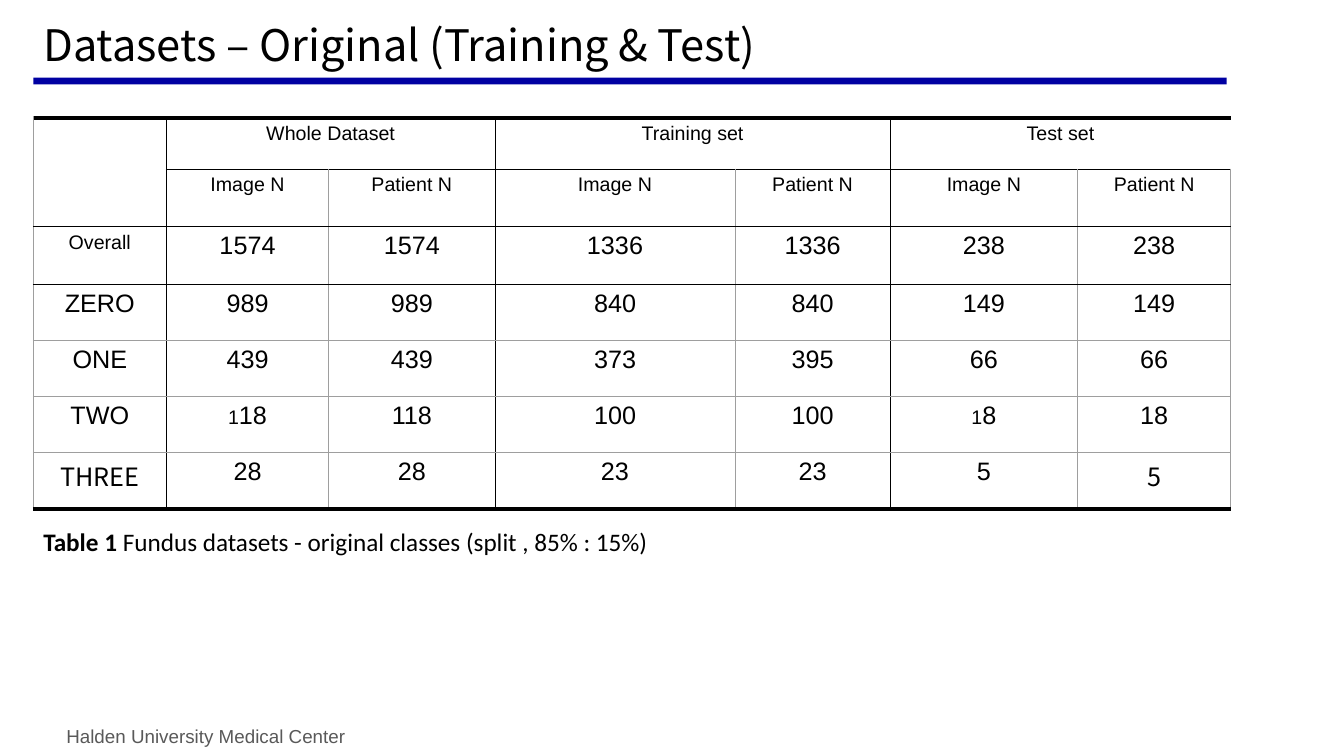
from lxml import etree
from pptx import Presentation
from pptx.dml.color import RGBColor
from pptx.enum.shapes import MSO_SHAPE
from pptx.enum.text import MSO_ANCHOR, MSO_AUTO_SIZE, PP_ALIGN
from pptx.oxml.ns import qn
from pptx.util import Pt

LEFT, CENTER = PP_ALIGN.LEFT, PP_ALIGN.CENTER
TOP, BOTTOM = MSO_ANCHOR.TOP, MSO_ANCHOR.BOTTOM
NO_AUTOFIT = MSO_AUTO_SIZE.NONE
RECTANGLE = MSO_SHAPE.RECTANGLE

# Content
TITLE = "Datasets – Original (Training & Test)"
CAPTION = ("Table 1", " Fundus datasets - original classes (split , 85% : 15%)")
FOOTER = "Halden University Medical Center"
ROWS = [
    ["", "Whole Dataset", "", "Training set", "", "Test set", ""],
    ["", "Image N", "Patient N", "Image N", "Patient N", "Image N", "Patient N"],
    ["Overall", "1574", "1574", "1336", "1336", "238", "238"],
    ["ZERO", "989", "989", "840", "840", "149", "149"],
    ["ONE", "439", "439", "373", "395", "66", "66"],
    ["TWO", "118", "118", "100", "100", "18", "18"],
    ["THREE", "28", "28", "23", "23", "5", "5"],
]

# Style
COLORS = {"text": "000000", "footer": "595959", "bar": "0000A2",
          "rule": "000000", "grid": "9E9E9E"}
BODY_FONT, TITLE_FONT, CAPTION_FONT = "Arial", "Noto Sans CJK KR", "Calibri"
LABEL_SIZE, VALUE_SIZE = 14, 18
SMALL_FIRST_DIGIT = {(5, 1), (5, 5)}
TITLE_FONT_CELLS = {(6, 0), (6, 6)}

# Layout
SLIDE_WIDTH, SLIDE_HEIGHT = 960, 540
MARGIN = 23.8
COLUMN_WIDTHS = [95, 116, 118.8, 171.4, 110.9, 133.9, 109.4]
ROW_HEIGHTS = [36.5, 41.2, 41.2, 40, 40, 40, 40.5]
MERGES = [(0, 0, 1, 0), (0, 1, 0, 2), (0, 3, 0, 4), (0, 5, 0, 6)]

# Lines by edge number, counted from the top and from the left
GRID, RULE = ("grid", 0.75), ("rule", 0.75)
HEADER, HEAVY = ("rule", 0.96), ("rule", 3)
ROW_LINES = [HEAVY, HEADER, RULE, RULE, GRID, GRID, GRID, HEAVY]
COLUMN_LINES = [GRID, RULE, GRID, RULE, GRID, RULE, GRID, GRID]


def color(name):
    return RGBColor.from_string(COLORS[name])


def style(font, name, size, color_name="text"):
    font.name, font.size = name, Pt(size)
    font.color.rgb = color(color_name)


def add_text_box(slide, left, top, width, height):
    box = slide.shapes.add_textbox(Pt(left), Pt(top), Pt(width), Pt(height))
    box.text_frame.word_wrap = True
    return box.text_frame.paragraphs[0]


def add_border(cell, side, line):
    properties = cell._tc.get_or_add_tcPr()
    border = etree.SubElement(properties, qn("a:ln" + side))
    if line is None:
        border.set("w", "0")
        etree.SubElement(border, qn("a:noFill"))
        return
    color_name, width = line
    border.set("w", str(int(Pt(width))))
    fill = etree.SubElement(border, qn("a:solidFill"))
    etree.SubElement(fill, qn("a:srgbClr")).set("val", COLORS[color_name])


def merged_area(row, column):
    for top, left, bottom, right in MERGES:
        if top <= row <= bottom and left <= column <= right:
            return top, left, bottom, right
    return row, column, row, column


def fill_cell(cell, row, column, text):
    # Lines are drawn only on the outer edges of a merged area
    top, left, bottom, right = merged_area(row, column)
    add_border(cell, "L", COLUMN_LINES[column] if column == left else None)
    add_border(cell, "R", COLUMN_LINES[column + 1] if column == right else None)
    add_border(cell, "T", ROW_LINES[row] if row == top else None)
    add_border(cell, "B", ROW_LINES[row + 1] if row == bottom else None)
    cell.fill.background()
    cell.vertical_anchor = TOP
    if not text:
        return

    paragraph = cell.text_frame.paragraphs[0]
    paragraph.alignment = CENTER
    is_label = row < 2 or (row, column) == (2, 0)
    name = TITLE_FONT if (row, column) in TITLE_FONT_CELLS else BODY_FONT
    style(paragraph.font, name, LABEL_SIZE if is_label else VALUE_SIZE)
    if (row, column) in SMALL_FIRST_DIGIT:
        first = paragraph.add_run()
        first.text, text = text[0], text[1:]
        first.font.size = Pt(LABEL_SIZE)
    paragraph.add_run().text = text


def add_dataset_table(slide):
    frame = slide.shapes.add_table(
        len(ROWS), len(COLUMN_WIDTHS), Pt(MARGIN), Pt(84.3),
        Pt(sum(COLUMN_WIDTHS)), Pt(sum(ROW_HEIGHTS)))
    table = frame.table
    table.first_row = table.horz_banding = False
    for column, width in zip(table.columns, COLUMN_WIDTHS):
        column.width = Pt(width)
    for row, height in zip(table.rows, ROW_HEIGHTS):
        row.height = Pt(height)
    for top, left, bottom, right in MERGES:
        table.cell(top, left).merge(table.cell(bottom, right))
    for row, texts in enumerate(ROWS):
        for column, text in enumerate(texts):
            fill_cell(table.cell(row, column), row, column, text)


def main():
    presentation = Presentation()
    presentation.slide_width = Pt(SLIDE_WIDTH)
    presentation.slide_height = Pt(SLIDE_HEIGHT)
    slide = presentation.slides.add_slide(presentation.slide_layouts[5])

    # Footer and title bar
    paragraph = add_text_box(slide, 40.3, 514, 247, 23)
    paragraph.text = FOOTER
    style(paragraph.font, BODY_FONT, 13.4, "footer")

    bar = slide.shapes.add_shape(RECTANGLE, Pt(MARGIN), Pt(55.4), Pt(852.5), Pt(5))
    bar.shadow.inherit = False
    bar.fill.solid()
    bar.fill.fore_color.rgb = color("bar")
    bar.line.fill.background()

    # Title
    title = slide.shapes.title
    title.left, title.top = Pt(MARGIN), Pt(15)
    title.width, title.height = Pt(912.5), Pt(39.6)
    title.text_frame.text = TITLE
    title.text_frame.auto_size = NO_AUTOFIT
    title.text_frame.vertical_anchor = BOTTOM
    paragraph = title.text_frame.paragraphs[0]
    paragraph.alignment, paragraph.line_spacing = LEFT, 0.9
    style(paragraph.font, TITLE_FONT, 31)

    add_dataset_table(slide)

    # Caption
    paragraph = add_text_box(slide, MARGIN, 372.2, 669, 24)
    style(paragraph.font, CAPTION_FONT, 18)
    for text, bold in zip(CAPTION, (True, False)):
        run = paragraph.add_run()
        run.text, run.font.bold = text, bold

    presentation.save("out.pptx")


if __name__ == "__main__":
    main()
